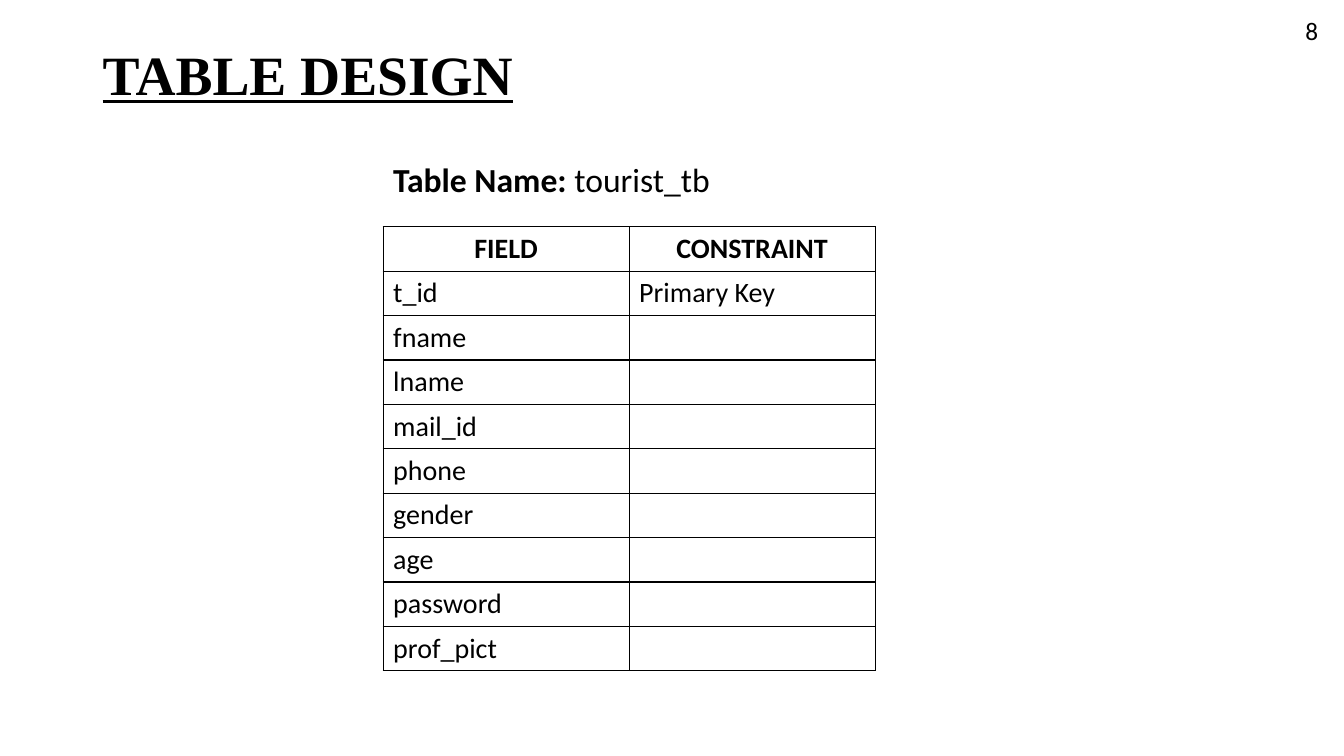
from lxml import etree
from pptx import Presentation
from pptx.dml.color import RGBColor
from pptx.enum.text import MSO_ANCHOR, PP_ALIGN
from pptx.oxml.ns import qn
from pptx.util import Emu, Pt

PX = 9144
CENTER, LEFT, MIDDLE = PP_ALIGN.CENTER, PP_ALIGN.LEFT, MSO_ANCHOR.MIDDLE
BLACK = "000000"
ROWS = [
    ("FIELD", "CONSTRAINT"),
    ("t_id", "Primary Key"),
    ("fname", ""),
    ("lname", ""),
    ("mail_id", ""),
    ("phone", ""),
    ("gender", ""),
    ("age", ""),
    ("password", ""),
    ("prof_pict", ""),
]


def px(n):
    """Turn px into EMU."""
    return Emu(n * PX)


def color(hex_string):
    """Turn a hex string into a colour."""
    return RGBColor.from_string(hex_string)


def set_font(p, size, name="Calibri", bold=None):
    """Set the font of a paragraph."""
    p.font.size = Pt(size)
    p.font.name = name
    p.font.bold = bold
    p.font.color.rgb = color(BLACK)


def add_text(slide, box, wrap=True):
    """Add an empty text box and return its frame."""
    tf = slide.shapes.add_textbox(*map(px, box)).text_frame
    tf.word_wrap = wrap
    return tf


def add_title(slide, box, text):
    """Add the underlined slide title."""
    tf = add_text(slide, box)
    tf.vertical_anchor = MIDDLE
    p = tf.paragraphs[0]
    p.text = text
    p.line_spacing = 0.9
    set_font(p, 39.6, "Times New Roman", True)
    p.font.underline = True


def add_caption(slide, box, label, name):
    """Add a bold label followed by the table name."""
    p = add_text(slide, box).paragraphs[0]
    set_font(p, 24)
    for text, bold in ((label, True), (name, False)):
        r = p.add_run()
        r.text = text
        r.font.bold = bold


def add_page_number(slide, box, number):
    """Add the page number in the corner."""
    p = add_text(slide, box, wrap=False).paragraphs[0]
    p.text = number
    set_font(p, 18)


def set_borders(cell):
    """Draw a thin line on all four sides of a cell."""
    tc_pr = cell._tc.get_or_add_tcPr()
    for side in ("lnL", "lnR", "lnT", "lnB"):
        ln = etree.SubElement(tc_pr, qn(f"a:{side}"), w=str(Pt(1)))
        fill = etree.SubElement(ln, qn("a:solidFill"))
        etree.SubElement(fill, qn("a:srgbClr"), val=BLACK)


def add_field_table(slide, box, rows):
    """Add the grid of fields under a bold, centred header row."""
    x, y, w, h = map(px, box)
    table = slide.shapes.add_table(len(rows), len(rows[0]), x, y, w, h).table
    table.first_row = table.horz_banding = False
    for i, row in enumerate(rows):
        header = i == 0
        for j, text in enumerate(row):
            cell = table.cell(i, j)
            set_borders(cell)
            cell.fill.background()
            p = cell.text_frame.paragraphs[0]
            p.text = text
            p.alignment = CENTER if header else LEFT
            set_font(p, 20, bold=header)


def build_slide(prs):
    """Build the table design slide."""
    slide = prs.slides.add_slide(prs.slide_layouts[6])
    add_field_table(slide, (380, 225, 488, 410), ROWS)
    add_title(slide, (92, 40, 1133, 74), "TABLE DESIGN")
    add_caption(slide, (380, 153, 442, 50), "Table Name: ", "tourist_tb")
    add_page_number(slide, (1285, 10, 33, 40), "8")


def main():
    """Make the presentation and save it."""
    prs = Presentation()
    prs.slide_width, prs.slide_height = px(1333), px(750)
    build_slide(prs)
    prs.save("out.pptx")


if __name__ == "__main__":
    main()
